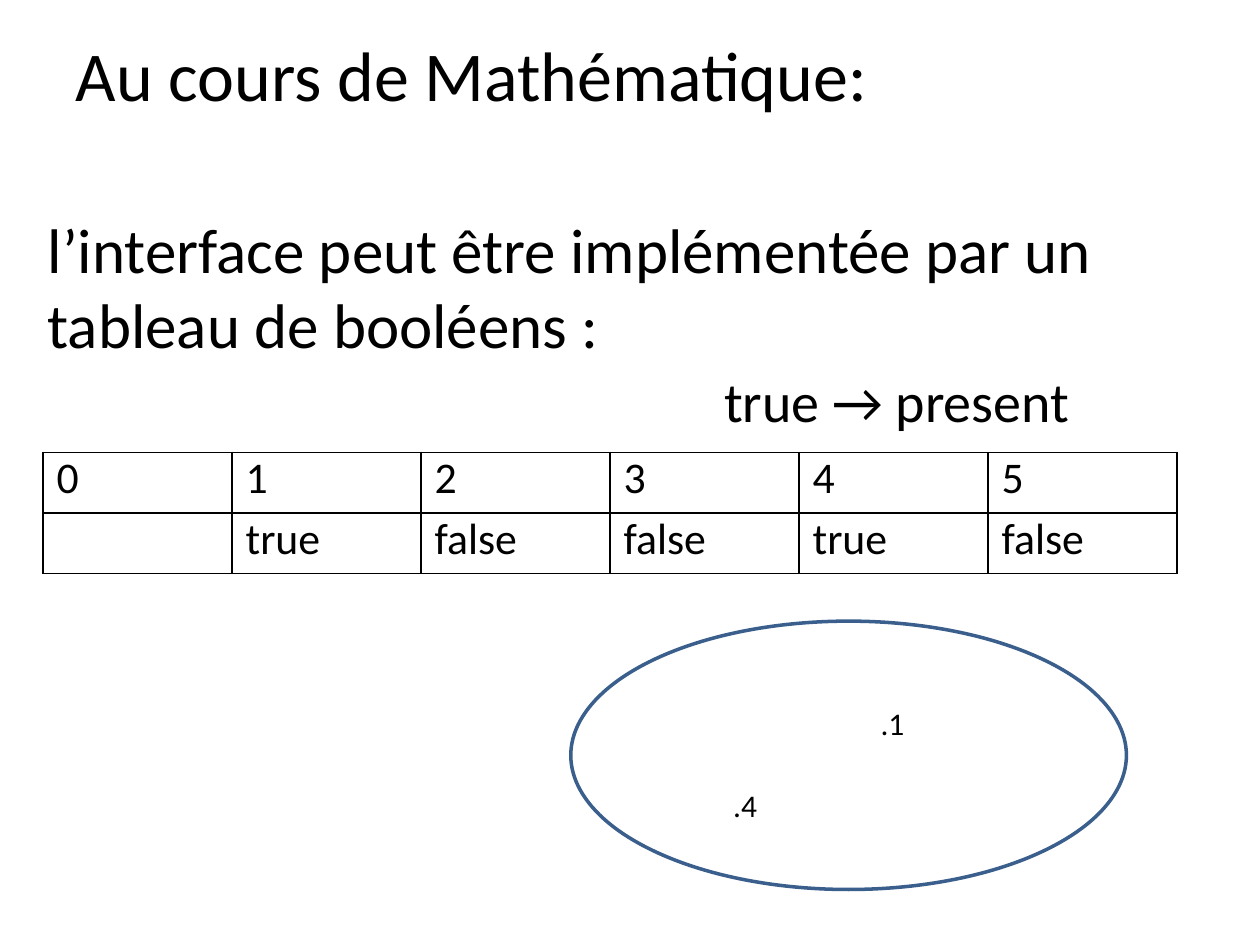
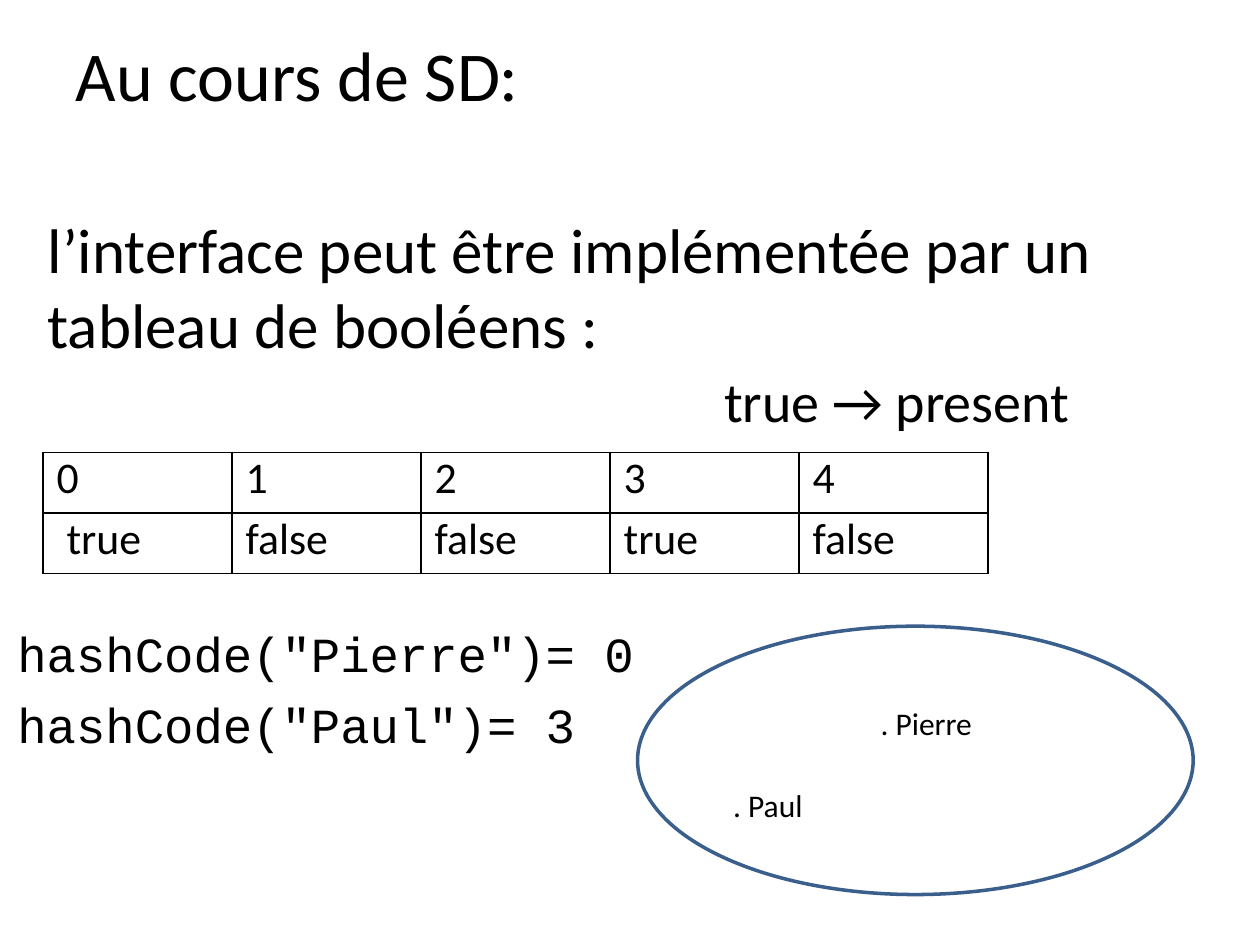
from lxml import etree
from pptx import Presentation
from pptx.dml.color import RGBColor
from pptx.enum import shapes, text
from pptx.oxml import ns
from pptx.util import Inches, Pt

COLORS = {"ink": "000000", "set_outline": "3A5F8C"}
BODY_FONT = "Calibri"
CODE_FONT = "Courier New"
COLUMN_WIDTH = 1.5
ROW_HEIGHT = 0.48
CODE_STEP = 0.56


def color(name):
    return RGBColor.from_string(COLORS[name])


def style_runs(frame, size, font=BODY_FONT):
    for paragraph in frame.paragraphs:
        for run in paragraph.runs:
            run.font.size = Pt(size)
            run.font.name = font
            run.font.color.rgb = color("ink")


def add_text(slide, box, wording, size, font=BODY_FONT):
    frame = slide.shapes.add_textbox(*map(Inches, box)).text_frame
    frame.word_wrap = True
    frame.text = wording
    style_runs(frame, size, font)


def add_title(slide, wording):
    title = slide.shapes.title
    title.left, title.top, title.width, title.height = map(Inches, (0.5, 0.25, 9, 1.25))
    frame = title.text_frame
    frame.text = wording
    frame.vertical_anchor = text.MSO_ANCHOR.TOP
    frame.margin_top = 0
    frame.paragraphs[0].alignment = text.PP_ALIGN.LEFT
    style_runs(frame, 40)


def add_introduction(slide):
    add_text(slide, (0.28, 1.62, 9.13, 3.13),
             "l’interface peut être implémentée par un tableau de booléens :", 36)
    add_text(slide, (5.65, 2.86, 3.23, 0.64), "true → present", 32)


def add_borders(cell):
    properties = cell._tc.get_or_add_tcPr()
    for position, side in enumerate(("lnL", "lnR", "lnT", "lnB")):
        line = etree.Element(ns.qn(f"a:{side}"), w=str(Pt(1)))
        fill = etree.SubElement(line, ns.qn("a:solidFill"))
        etree.SubElement(fill, ns.qn("a:srgbClr"), val=COLORS["ink"])
        properties.insert(position, line)


def add_boolean_table(slide, left, top, presence):
    """Show each index above its boolean, one column per entry."""
    rows = [[str(index) for index in range(len(presence))], presence]
    table = slide.shapes.add_table(
        2, len(presence), Inches(left), Inches(top),
        Inches(COLUMN_WIDTH * len(presence)), Inches(2 * ROW_HEIGHT)).table
    table.first_row = False
    table.horz_banding = False
    for row, values in zip(table.rows, rows):
        row.height = Inches(ROW_HEIGHT)
        for cell, value in zip(row.cells, values):
            cell.fill.background()
            cell.margin_left = cell.margin_right = Inches(0.11)
            cell.margin_top = cell.margin_bottom = 0
            cell.text = value
            style_runs(cell.text_frame, 25)
            add_borders(cell)


def add_set_diagram(slide, left, top, members, label_width):
    outline = slide.shapes.add_shape(
        shapes.MSO_SHAPE.OVAL, *map(Inches, (left, top, 4.41, 2.13)))
    outline.shadow.inherit = False
    outline.fill.background()
    outline.line.color.rgb = color("set_outline")
    outline.line.width = Pt(2)
    for member, (x, y) in zip(members, ((6.89, 5.54), (5.72, 6.19))):
        add_text(slide, (x, y, label_width, 0.4), member, 18)


def add_hash_codes(slide, left, top, calls):
    for index, call in enumerate(calls):
        add_text(slide, (left, top + index * CODE_STEP, 5.67, 0.57), call, 28, CODE_FONT)


def add_set_slide(deck, title, presence):
    slide = deck.slides.add_slide(deck.slide_layouts[5])
    add_title(slide, title)
    add_introduction(slide)
    add_boolean_table(slide, 0.34, 3.59, presence)
    return slide


def main():
    deck = Presentation()
    deck.slide_width, deck.slide_height = Inches(10), Inches(7.5)

    maths = add_set_slide(deck, "Au cours de Mathématique:",
                          ["", "true", "false", "false", "true", "false"])
    add_set_diagram(maths, 4.53, 4.93, (".1", ".4"), 0.55)

    structures = add_set_slide(deck, "Au cours de SD:",
                               [" true", "false", "false", "true", "false"])
    add_set_diagram(structures, 5.06, 4.97, (". Pierre", ". Paul"), 1.33)
    add_hash_codes(structures, 0.04, 4.9,
                   ('hashCode("Pierre")= 0', 'hashCode("Paul")= 3'))

    deck.save("out.pptx")


if __name__ == "__main__":
    main()
